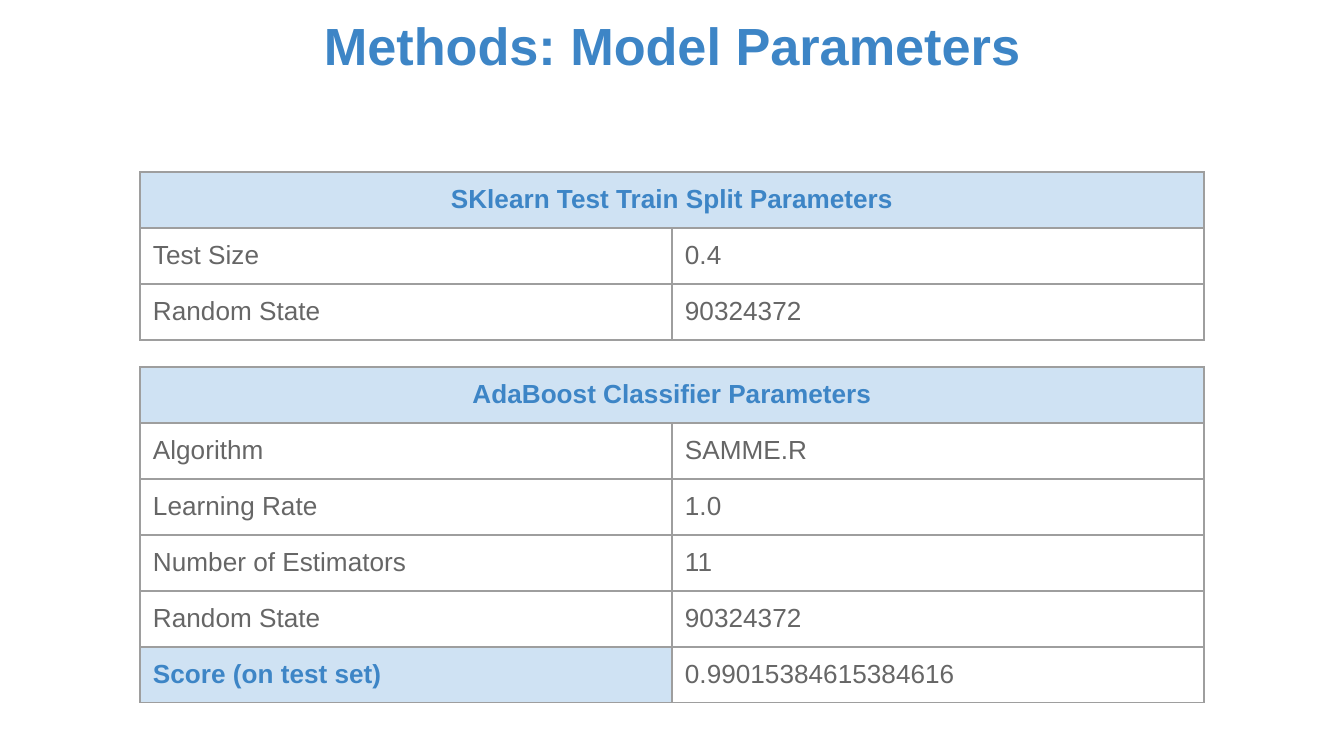
from lxml.etree import SubElement
from pptx import Presentation
from pptx.dml.color import RGBColor
from pptx.enum.text import MSO_ANCHOR, MSO_AUTO_SIZE, PP_ALIGN
from pptx.oxml.ns import qn
from pptx.util import Pt

BLUE = RGBColor(0x3D, 0x85, 0xC6)
PALE_BLUE = RGBColor(0xCF, 0xE2, 0xF3)
GRAY = RGBColor(0x66, 0x66, 0x66)
BORDER = RGBColor(0x9E, 0x9E, 0x9E)
FONT = "Arial"

TITLE = "Methods: Model Parameters"
SCORE = "Score (on test set)"
PARAMETER_TABLES = [
    ("AdaBoost Classifier Parameters", 367, [
        ("Algorithm", "SAMME.R"),
        ("Learning Rate", "1.0"),
        ("Number of Estimators", "11"),
        ("Random State", "90324372"),
        (SCORE, "0.99015384615384616"),
    ]),
    ("SKlearn Test Train Split Parameters", 172, [
        ("Test Size", "0.4"),
        ("Random State", "90324372"),
    ]),
]

SLIDE_W, SLIDE_H = 1344, 756
TITLE_W, TITLE_H = 1252, 85
TABLE_W, ROW_H = 1064, 56
INSET = 13


def px(length):
    return round(length * 914400 / 134.4)


def write(paragraph, text, size, color, bold, align):
    paragraph.alignment = align
    run = paragraph.add_run()
    run.text = text
    run.font.name = FONT
    run.font.size = Pt(size)
    run.font.bold = bold
    run.font.color.rgb = color


def set_insets(holder):
    holder.margin_left = holder.margin_right = px(INSET)
    holder.margin_top = holder.margin_bottom = px(INSET)


def draw_borders(cell):
    properties = cell._tc.get_or_add_tcPr()
    for position, side in enumerate(("a:lnL", "a:lnR", "a:lnT", "a:lnB")):
        line = SubElement(properties, qn(side), w=str(Pt(0.75)))
        fill = SubElement(line, qn("a:solidFill"))
        SubElement(fill, qn("a:srgbClr"), val=str(BORDER))
        properties.insert(position, line)


def fill_cell(cell, text, highlighted=False, align=PP_ALIGN.LEFT):
    set_insets(cell)
    cell.vertical_anchor = MSO_ANCHOR.TOP
    if highlighted:
        cell.fill.solid()
        cell.fill.fore_color.rgb = PALE_BLUE
    else:
        cell.fill.background()
    draw_borders(cell)
    if text:
        color = BLUE if highlighted else GRAY
        write(cell.text_frame.paragraphs[0], text, 14, color, highlighted, align)


def add_parameter_table(slide, heading, top, parameters):
    row_count = len(parameters) + 1
    table = slide.shapes.add_table(
        row_count, 2, px((SLIDE_W - TABLE_W) / 2), px(top),
        px(TABLE_W), px(ROW_H * row_count)).table
    table.first_row = table.horz_banding = False
    for column in table.columns:
        column.width = px(TABLE_W / 2)
    for row in table.rows:
        row.height = px(ROW_H)

    table.cell(0, 0).merge(table.cell(0, 1))
    fill_cell(table.cell(0, 0), heading, True, PP_ALIGN.CENTER)
    fill_cell(table.cell(0, 1), "", True)
    for row, (label, value) in enumerate(parameters, 1):
        fill_cell(table.cell(row, 0), label, label == SCORE)
        fill_cell(table.cell(row, 1), value)


def main():
    presentation = Presentation()
    presentation.slide_width = px(SLIDE_W)
    presentation.slide_height = px(SLIDE_H)
    slide = presentation.slides.add_slide(presentation.slide_layouts[5])

    title = slide.shapes.title
    title.left, title.top = px((SLIDE_W - TITLE_W) / 2), 0
    title.width, title.height = px(TITLE_W), px(TITLE_H)
    frame = title.text_frame
    frame.word_wrap = True
    frame.auto_size = MSO_AUTO_SIZE.NONE
    frame.vertical_anchor = MSO_ANCHOR.TOP
    set_insets(frame)
    write(frame.paragraphs[0], TITLE, 28, BLUE, True, PP_ALIGN.CENTER)

    for heading, top, parameters in PARAMETER_TABLES:
        add_parameter_table(slide, heading, top, parameters)

    presentation.save("out.pptx")


if __name__ == "__main__":
    main()
